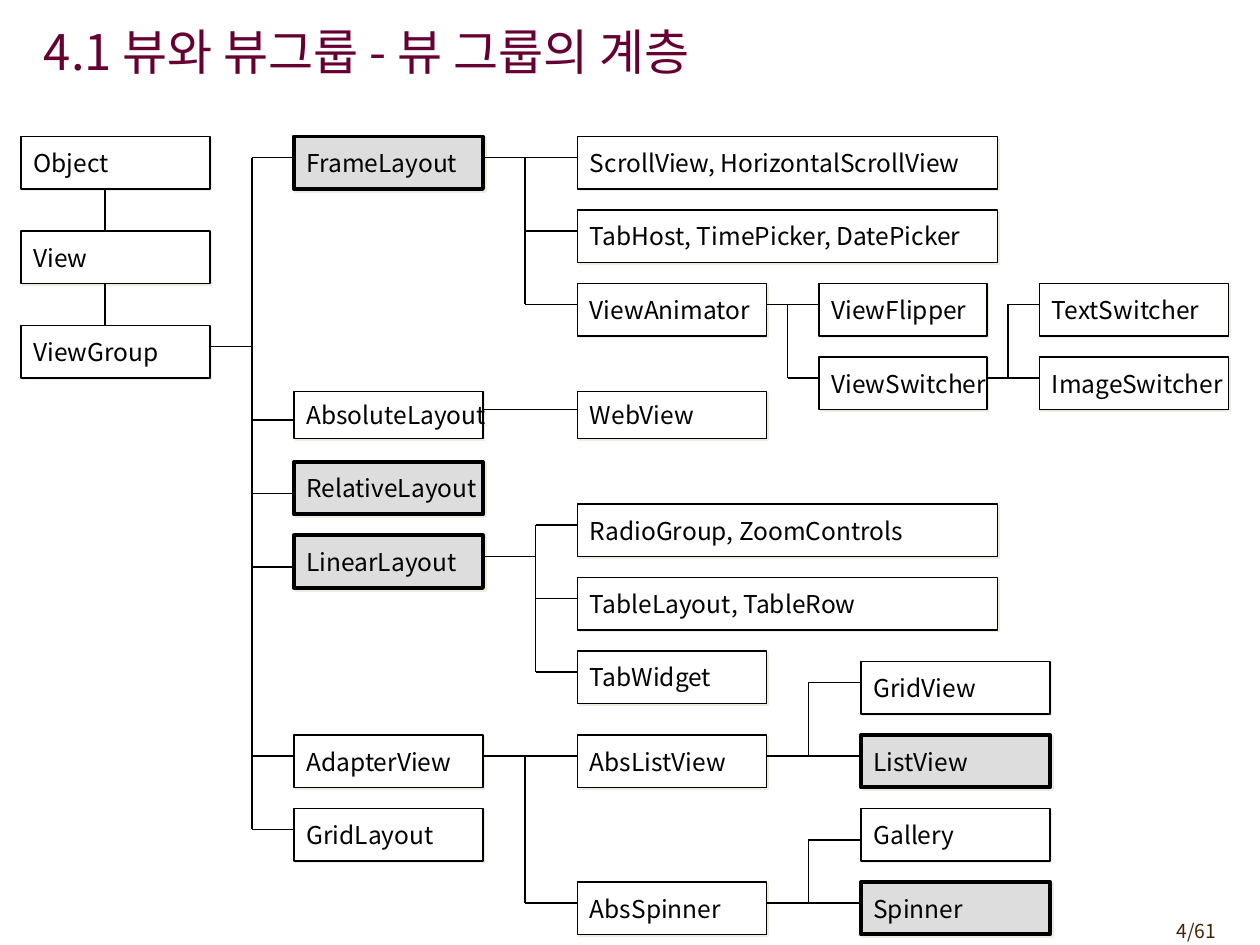
from typing import NamedTuple

from lxml.etree import SubElement
from pptx import Presentation
from pptx.dml.color import RGBColor
from pptx.enum.shapes import MSO_CONNECTOR, MSO_SHAPE
from pptx.enum.text import MSO_ANCHOR, PP_ALIGN
from pptx.oxml.ns import qn
from pptx.util import Pt

BLACK = RGBColor(0x00, 0x00, 0x00)
WHITE = RGBColor(0xFF, 0xFF, 0xFF)
GRAY = RGBColor(0xDD, 0xDD, 0xDD)
PLUM = RGBColor(0x66, 0x00, 0x33)
BROWN = RGBColor(0x45, 0x21, 0x03)
SHADOW = RGBColor(0xEE, 0xEC, 0xE1)
FONT = "Noto Sans CJK KR"

ROOT, LAYOUT, CHILD, SWITCH, LEAF, FAR = 12, 168, 330, 468, 492, 594
WIDE, NARROW = 240, 96


class ClassBox(NamedTuple):
    name: str
    left: float
    top: float
    width: float = 108
    height: float = 30
    key: bool = False


class Branch(NamedTuple):
    start: float
    trunk: float
    end: float
    level: float
    levels: tuple[float, ...]


BOXES = [
    ClassBox("Object", ROOT, 78),
    ClassBox("View", ROOT, 132),
    ClassBox("ViewGroup", ROOT, 186),
    ClassBox("FrameLayout", LAYOUT, 78, key=True),
    ClassBox("AbsoluteLayout", LAYOUT, 223.5, height=27),
    ClassBox("RelativeLayout", LAYOUT, 264, key=True),
    ClassBox("LinearLayout", LAYOUT, 306, key=True),
    ClassBox("AdapterView", LAYOUT, 420),
    ClassBox("GridLayout", LAYOUT, 462),
    ClassBox("ScrollView, HorizontalScrollView", CHILD, 78, WIDE),
    ClassBox("TabHost, TimePicker, DatePicker", CHILD, 120, WIDE),
    ClassBox("ViewAnimator", CHILD, 162),
    ClassBox("WebView", CHILD, 223.5, height=27),
    ClassBox("RadioGroup, ZoomControls", CHILD, 288, WIDE),
    ClassBox("TableLayout, TableRow", CHILD, 330, WIDE),
    ClassBox("TabWidget", CHILD, 372),
    ClassBox("AbsListView", CHILD, 420),
    ClassBox("AbsSpinner", CHILD, 504),
    ClassBox("ViewFlipper", SWITCH, 162, NARROW),
    ClassBox("ViewSwitcher", SWITCH, 204, NARROW),
    ClassBox("TextSwitcher", FAR, 162),
    ClassBox("ImageSwitcher", FAR, 204),
    ClassBox("GridView", LEAF, 378),
    ClassBox("ListView", LEAF, 420, key=True),
    ClassBox("Gallery", LEAF, 462),
    ClassBox("Spinner", LEAF, 504, key=True),
]

BRANCHES = [
    Branch(120, 144, LAYOUT, 198, (90, 240, 282, 324, 432, 474)),
    Branch(276, 300, CHILD, 90, (90, 132, 174)),
    Branch(276, 306, CHILD, 318, (300, 342, 384)),
    Branch(276, 300, CHILD, 432, (432, 516)),
    Branch(438, 450, SWITCH, 174, (174, 216)),
    Branch(564, 576, FAR, 216, (174, 216)),
    Branch(438, 462, LEAF, 432, (390, 432)),
    Branch(438, 462, LEAF, 516, (480, 516)),
]


def write(s, text: str, size: float, color: RGBColor, align=PP_ALIGN.LEFT) -> None:
    tf = s.text_frame
    tf.text = text
    p = tf.paragraphs[0]
    p.alignment = align
    r = p.runs[0]
    r.font.size = Pt(size)
    r.font.name = FONT
    r.font.color.rgb = color
    SubElement(r.font._element, qn("a:ea"), typeface=FONT)


def add_label(slide, text: str, left: float, top: float, width: float, height: float,
              size: float, color: RGBColor, align=PP_ALIGN.LEFT,
              anchor=MSO_ANCHOR.TOP) -> None:
    s = slide.shapes.add_textbox(Pt(left), Pt(top), Pt(width), Pt(height))
    s.text_frame.word_wrap = True
    s.text_frame.vertical_anchor = anchor
    write(s, text, size, color, align)


def add_shadow(s) -> None:
    effects = SubElement(s._element.spPr, qn("a:effectLst"))
    shadow = SubElement(effects, qn("a:outerShdw"), dist=str(Pt(1.4)),
                        dir="2700000", algn="ctr", rotWithShape="0")
    SubElement(shadow, qn("a:srgbClr"), val=str(SHADOW))


def add_box(slide, box: ClassBox) -> None:
    s = slide.shapes.add_shape(MSO_SHAPE.RECTANGLE, Pt(box.left), Pt(box.top),
                               Pt(box.width), Pt(box.height))
    s.fill.solid()
    s.fill.fore_color.rgb = GRAY if box.key else WHITE
    s.line.color.rgb = BLACK
    s.line.width = Pt(2.25 if box.key else 0.75)
    add_shadow(s)
    s.text_frame.word_wrap = False
    s.text_frame.vertical_anchor = MSO_ANCHOR.MIDDLE
    write(s, box.name, 14, BLACK)


def add_line(slide, x1: float, y1: float, x2: float, y2: float) -> None:
    s = slide.shapes.add_connector(MSO_CONNECTOR.STRAIGHT, Pt(x1), Pt(y1), Pt(x2), Pt(y2))
    s.line.color.rgb = BLACK
    s.line.width = Pt(0.75)
    SubElement(s._element.spPr, qn("a:effectLst"))


def add_branch(slide, b: Branch) -> None:
    stem_end = b.end if b.level in b.levels else b.trunk
    add_line(slide, b.start, b.level, stem_end, b.level)
    add_line(slide, b.trunk, min(b.levels), b.trunk, max(b.levels))
    for level in b.levels:
        if level != b.level:
            add_line(slide, b.trunk, level, b.end, level)


def main() -> None:
    prs = Presentation()
    prs.slide_width, prs.slide_height = Pt(720), Pt(540)
    slide = prs.slides.add_slide(prs.slide_layouts[6])
    add_label(slide, "4/61", 642, 522, 60, 21, 11, BROWN, PP_ALIGN.RIGHT)
    add_label(slide, "4.1 뷰와 뷰그룹 - 뷰 그룹의 계층", 18, 6.5, 595.5, 45.5, 28, PLUM,
              anchor=MSO_ANCHOR.MIDDLE)
    for box in BOXES:
        add_box(slide, box)
    for top in (108, 162):
        add_line(slide, 60, top, 60, top + 24)
    add_line(slide, 276, 234, CHILD, 234)
    for branch in BRANCHES:
        add_branch(slide, branch)
    prs.save("out.pptx")


if __name__ == "__main__":
    main()
